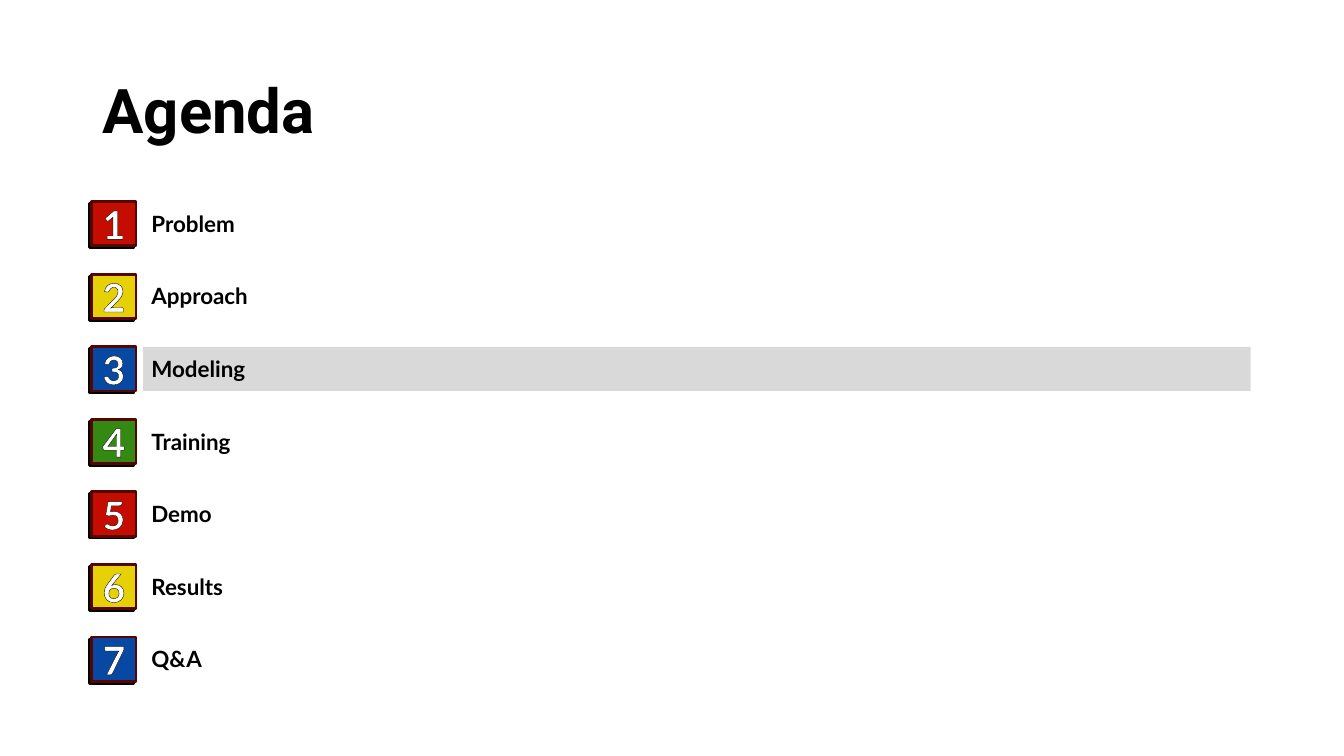
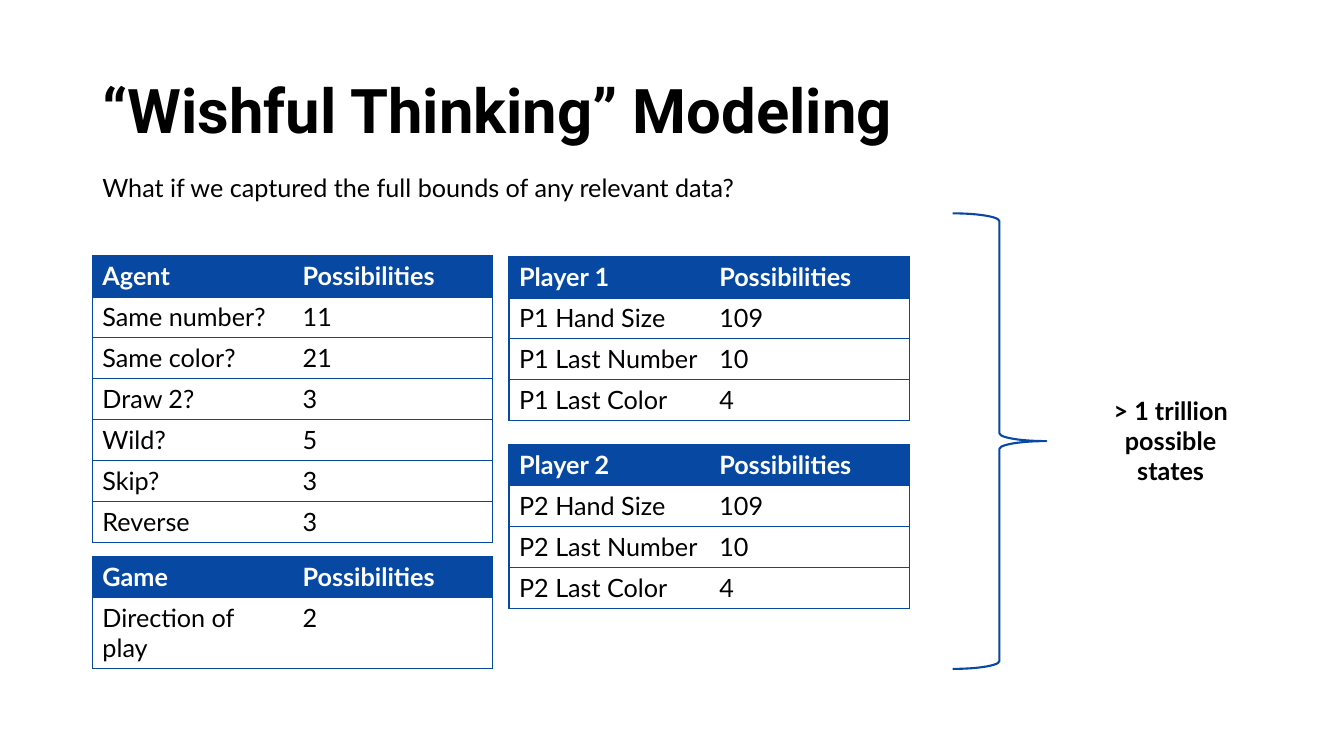
"""Build an agenda slide and a modeling slide with possibility tables."""
from dataclasses import dataclass
from typing import Any

from lxml import etree
from pptx import Presentation
from pptx.dml.color import RGBColor
from pptx.enum.shapes import MSO_SHAPE
from pptx.enum.text import MSO_ANCHOR, MSO_AUTO_SIZE, PP_ALIGN
from pptx.oxml.ns import qn
from pptx.util import Pt

RECTANGLE, BRACE = MSO_SHAPE.RECTANGLE, MSO_SHAPE.RIGHT_BRACE
LEFT, CENTER = PP_ALIGN.LEFT, PP_ALIGN.CENTER
TOP, MIDDLE = MSO_ANCHOR.TOP, MSO_ANCHOR.MIDDLE
NO_FIT, GROW = MSO_AUTO_SIZE.NONE, MSO_AUTO_SIZE.SHAPE_TO_FIT_TEXT

BLACK, WHITE, GRAY, MAROON = "000000", "FFFFFF", "D9D9D9", "560500"
RED, YELLOW, BLUE, GREEN = "C40C00", "E6D006", "0749A2", "338911"
BADGE_COLORS = (RED, YELLOW, BLUE, GREEN)

TITLE_FONT = {"name": "Roboto", "size": Pt(44), "bold": True}
BADGE_FONT = {"name": "Lato", "size": Pt(28), "bold": True}
LABEL_FONT = {"name": "Lato", "size": Pt(16), "bold": True}
BODY_FONT = {"name": "Lato", "size": Pt(18), "bold": False}
STRONG_FONT = BODY_FONT | {"bold": True}

INSET = Pt(6)
LABEL_FRAME = {"margin_left": INSET, "margin_top": INSET, "margin_right": 0,
               "margin_bottom": INSET, "word_wrap": False, "vertical_anchor": TOP}
BADGE_FRAME = LABEL_FRAME | {"margin_right": INSET, "vertical_anchor": MIDDLE}
TITLE_FRAME = {"word_wrap": True, "vertical_anchor": MIDDLE, "auto_size": NO_FIT}
SUBTITLE_FRAME = {"word_wrap": True, "auto_size": GROW}
RESULT_FRAME = {"word_wrap": False, "auto_size": GROW}

TITLE_ONLY = 5
MARGIN = 66
AGENDA_TOP, AGENDA_STEP = 144, 51.84
BADGE_LEFT, BADGE_SIZE = 65.5, 31.6
LABEL_LEFT, LABEL_WIDTH, HIGHLIGHT_WIDTH = 102.2, 77, 791.2
AGENDA = ("Problem", "Approach", "Modeling", "Training", "Demo", "Results", "Q&A")
CURRENT = "Modeling"
RIGHT_TABLES = 363.6
COLUMN_WIDTH, ROW_HEIGHT = 143, 29.2


@dataclass(frozen=True)
class Box:
    """A rectangle in points."""
    left: float
    top: float
    width: float
    height: float

    def lengths(self) -> tuple[Pt, ...]:
        """Return the four lengths for python-pptx."""
        return Pt(self.left), Pt(self.top), Pt(self.width), Pt(self.height)


@dataclass(frozen=True)
class StateTable:
    """A table of variables and their possibility counts."""
    left: float
    top: float
    heading: str
    counts: dict[str, int]


TABLES = (
    StateTable(MARGIN, 182.9, "Agent", {
        "Same number?": 11, "Same color?": 21, "Draw 2?": 3,
        "Wild?": 5, "Skip?": 3, "Reverse": 3}),
    StateTable(RIGHT_TABLES, 183.6, "Player 1", {
        "P1 Hand Size": 109, "P1 Last Number": 10, "P1 Last Color": 4}),
    StateTable(RIGHT_TABLES, 317.8, "Player 2", {
        "P2 Hand Size": 109, "P2 Last Number": 10, "P2 Last Color": 4}),
    StateTable(MARGIN, 397.6, "Game", {"Direction of play": 2}),
)


def apply(target: Any, values: dict[str, Any]) -> None:
    """Set each format value on the target."""
    for name, value in values.items():
        setattr(target, name, value)


def paint(fill: Any, color: str) -> None:
    """Make a fill solid in a hex colour."""
    fill.solid()
    fill.fore_color.rgb = RGBColor.from_string(color)


def write(frame: Any, lines: tuple[str, ...], font: dict[str, Any],
          color: str = BLACK, align: Any = LEFT) -> None:
    """Write one formatted paragraph for each line."""
    for index, line in enumerate(lines):
        para = frame.paragraphs[0] if index == 0 else frame.add_paragraph()
        para.alignment = align
        span = para.add_run()
        span.text = line
        apply(span.font, font)
        paint(span.font.fill, color)


def add_color(parent: Any, color: str) -> None:
    """Append a hex colour element."""
    etree.SubElement(parent, qn("a:srgbClr"), val=color)


def add_page(deck: Any, title: str) -> Any:
    """Add a slide with the shared title style."""
    page = deck.slides.add_slide(deck.slide_layouts[TITLE_ONLY])
    holder = page.shapes.title
    holder.left, holder.top, holder.width, holder.height = Box(
        MARGIN, 28.8, 828, 104.4).lengths()
    apply(holder.text_frame, TITLE_FRAME)
    write(holder.text_frame, (title,), TITLE_FONT)
    holder.text_frame.paragraphs[0].line_spacing = 0.9
    return page


def add_text(page: Any, box: Box, lines: tuple[str, ...], frame: dict[str, Any],
             font: dict[str, Any], align: Any = LEFT) -> None:
    """Add a text box."""
    text_box = page.shapes.add_textbox(*box.lengths())
    apply(text_box.text_frame, frame)
    write(text_box.text_frame, lines, font, align=align)


def add_shape(page: Any, kind: Any, box: Box, fill: str | None = None,
              line: str | None = None, weight: float = 1) -> Any:
    """Add a preset shape with optional fill and line."""
    shape = page.shapes.add_shape(kind, *box.lengths())
    shape.shadow.inherit = False
    if fill:
        paint(shape.fill, fill)
    else:
        shape.fill.background()
    if line:
        paint(shape.line.fill, line)
        shape.line.width = Pt(weight)
    else:
        shape.line.fill.background()
    return shape


def add_badge(page: Any, top: float, number: int) -> None:
    """Add a numbered square with a hard shadow and outlined digit."""
    color = BADGE_COLORS[(number - 1) % len(BADGE_COLORS)]
    badge = add_shape(page, RECTANGLE, Box(BADGE_LEFT, top, BADGE_SIZE, BADGE_SIZE),
                      color, MAROON, 2)
    effects = badge.element.spPr.find(qn("a:effectLst"))
    shadow = etree.SubElement(effects, qn("a:outerShdw"), blurRad="0",
                              dist=str(Pt(2)), dir=str(135 * 60000),
                              algn="tr", rotWithShape="0")
    add_color(shadow, BLACK)
    apply(badge.text_frame, BADGE_FRAME)
    write(badge.text_frame, (str(number),), BADGE_FONT, WHITE, CENTER)
    properties = badge.text_frame.paragraphs[0].runs[0].font._element
    outline = etree.Element(qn("a:ln"), w=str(Pt(1)))
    add_color(etree.SubElement(outline, qn("a:solidFill")), BLACK)
    properties.insert(0, outline)


def set_borders(cell: Any, colors: dict[str, str | None]) -> None:
    """Give each side of a cell a colour, or no line, ahead of its fill."""
    properties = cell._tc.get_or_add_tcPr()
    for index, (side, color) in enumerate(colors.items()):
        line = etree.Element(qn(f"a:ln{side}"), w=str(Pt(1)))
        if color:
            add_color(etree.SubElement(line, qn("a:solidFill")), color)
        else:
            etree.SubElement(line, qn("a:noFill"))
        properties.insert(index, line)


def add_state_table(page: Any, model: StateTable) -> None:
    """Add a two-column table with a blue heading row."""
    rows = [(model.heading, "Possibilities"), *model.counts.items()]
    box = Box(model.left, model.top, 2 * COLUMN_WIDTH, ROW_HEIGHT * len(rows))
    table = page.shapes.add_table(len(rows), 2, *box.lengths()).table
    table.horz_banding = False
    for row_index, row in enumerate(rows):
        table.rows[row_index].height = Pt(ROW_HEIGHT)
        is_heading = row_index == 0
        for column_index, value in enumerate(row):
            cell = table.cell(row_index, column_index)
            if is_heading:
                paint(cell.fill, BLUE)
            else:
                cell.fill.background()
            write(cell.text_frame, (str(value),),
                  STRONG_FONT if is_heading else BODY_FONT,
                  WHITE if is_heading else BLACK)
            is_left = column_index == 0
            set_borders(cell, {"L": BLUE if is_left else None,
                               "R": None if is_left else BLUE,
                               "T": BLUE, "B": BLUE})


def build_agenda(deck: Any) -> None:
    """Build the agenda with its current item highlighted."""
    page = add_page(deck, "Agenda")
    for index, label in enumerate(AGENDA):
        top = AGENDA_TOP + index * AGENDA_STEP
        if label == CURRENT:
            add_shape(page, RECTANGLE,
                      Box(LABEL_LEFT, top, HIGHLIGHT_WIDTH, BADGE_SIZE), GRAY)
        add_text(page, Box(LABEL_LEFT, top, LABEL_WIDTH, BADGE_SIZE),
                 (label,), LABEL_FRAME, LABEL_FONT)
        add_badge(page, top, index + 1)


def build_modeling(deck: Any) -> None:
    """Build the state tables and their combined size."""
    page = add_page(deck, "“Wishful Thinking” Modeling")
    add_text(page, Box(MARGIN, 119.6, 584, 29),
             ("What if we captured the full bounds of any relevant data?",),
             SUBTITLE_FRAME, BODY_FONT)
    for model in TABLES:
        add_state_table(page, model)
    add_shape(page, BRACE, Box(680.4, 152.4, 67, 325.4), line=BLUE, weight=1.5)
    add_text(page, Box(786.2, 278.6, 100, 72.7),
             ("> 1 trillion", "possible", "states"), RESULT_FRAME, STRONG_FONT, CENTER)


def main() -> None:
    """Build and save the deck."""
    deck = Presentation()
    deck.slide_width, deck.slide_height = Pt(960), Pt(540)
    build_agenda(deck)
    build_modeling(deck)
    deck.save("out.pptx")


if __name__ == "__main__":
    main()
